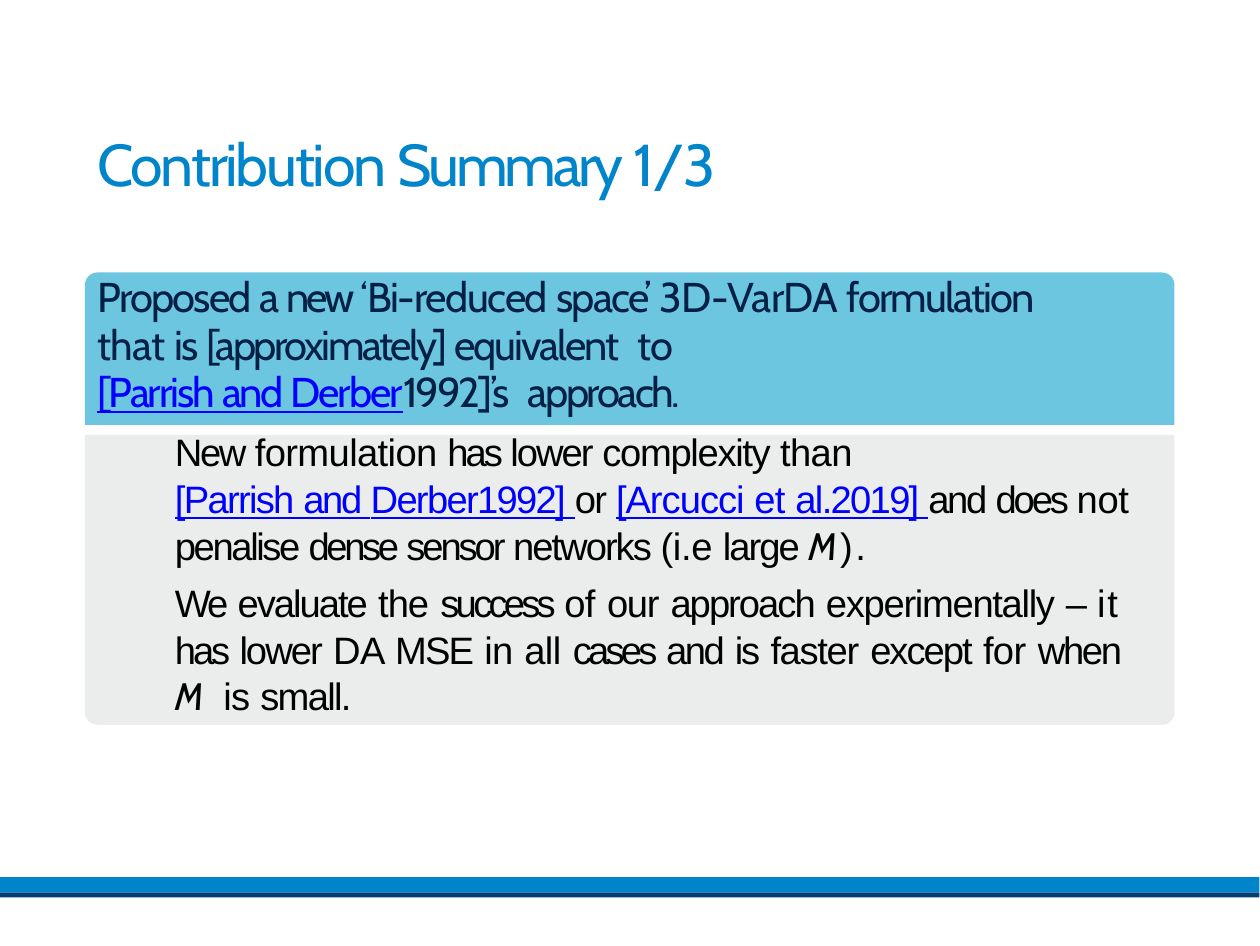
"""Builds the contribution summary slide."""
from pptx import Presentation
from pptx.dml.color import RGBColor
from pptx.enum import shapes, text
from pptx.util import Inches, Pt

COLORS = {"title": "0085CA", "heading": "002046", "body": "000000",
          "citation": "0000FF", "heading_panel": "6DC6E0",
          "body_panel": "EBEDED", "bar": "0085CA", "bar_edge": "003E73"}

STYLES = {"title": ("Cabin", 17, "title"),
          "heading": ("Cabin", 12, "heading"),
          "heading_cite": ("Cabin", 12, "citation"),
          "body": ("Arial", 11, "body"),
          "body_cite": ("Arial", 11, "citation"),
          "symbol": ("Cabin", 11, "body")}

TITLE = [("title", [("Contribution ", -0.65), ("Summary ", -0.95), ("1/3", -0.3)])]

PROPOSAL = [("heading", [
    ("Proposed ", -0.5), ("a ", -0.8), ("new ", -0.9), ("‘Bi-reduced ", -0.4),
    ("space’ ", -0.5), ("3D-VarDA ", -0.2), ("formulation ", -0.5),
    ("that ", -0.2), ("is ", -0.5), ("[approximately] ", -0.7),
    ("equivalent", -0.6), (" ", 2.6), ("to", -0.2)])]

PRIOR_WORK = [
    ("heading_cite", [("[Parrish ", -0.6), ("and ", -0.7), ("Derber", -0.6)]),
    ("heading", [("1992]’s", -0.6), (" ", 2.6), ("approach.", -0.7)])]

COMPLEXITY = [("body", [
    ("New ", -0.7), ("formulation ", -0.2), ("has ", -0.9), ("lower ", -0.6),
    ("complexity ", -0.4), ("than", -0.2)])]

COMPARISON = [
    ("body_cite", [("[Parrish ", -0.5), ("and ", -0.7), ("Derber1992] ", -0.5)]),
    ("body", [("or ", -0.5)]),
    ("body_cite", [("[Arcucci ", -0.3), ("et ", -0.2), ("al.2019] ", -0.5)]),
    ("body", [("and ", -0.7), ("does ", -0.9), ("not ", -0.1),
              ("penalise ", -0.7), ("dense ", -1), ("sensor ", -0.9),
              ("networks ", -0.6), ("(i.e ", -0.1), ("large ", -0.6)]),
    ("symbol", [("M", 0.8)]),
    ("body", [(").", 0.8)])]

EVALUATION = [
    ("body", [
        ("We ", -0.9), ("evaluate ", -0.6), ("the ", -0.3), ("success ", -1.1),
        ("of ", -0.2), ("our ", -0.4), ("approach ", -0.6),
        ("experimentally ", -0.4), ("– ", -0.7), ("it ", 0.5), ("has ", -0.9),
        ("lower ", -0.6), ("DA ", -0.2), ("MSE ", -0.6), ("in all ", -0.2),
        ("cases ", -1.1), ("and ", -0.7), ("is ", -0.6), ("faster ", -0.4),
        ("except ", -0.6), ("for ", -0.2), ("when ", -0.7)]),
    ("symbol", [("M ", 1.6)]),
    ("body", [("is ", -0.2), ("small.", -0.5)])]


def add_block(slide, kind, left, top, width, height, color):
    """Add a plain filled shape and return it."""
    block = slide.shapes.add_shape(kind, Inches(left), Inches(top),
                                   Inches(width), Inches(height))
    block.shadow.inherit = False
    block.fill.solid()
    block.fill.fore_color.rgb = RGBColor.from_string(COLORS[color])
    block.line.fill.background()
    return block


def add_panel(slide, top, height, color, top_radius, bottom_radius):
    """Add a panel rounded at its top or bottom corners."""
    panel = add_block(slide, shapes.MSO_SHAPE.ROUND_2_SAME_RECTANGLE,
                      0.34, top, 4.36, height, color)
    panel.adjustments[0] = top_radius / height
    panel.adjustments[1] = bottom_radius / height


def add_text(slide, left, top, width, height, inset, paragraphs):
    """Add a wrapping text box holding the given paragraphs."""
    box = slide.shapes.add_textbox(Inches(left), Inches(top),
                                   Inches(width), Inches(height))
    frame = box.text_frame
    frame.word_wrap = True
    frame.vertical_anchor = text.MSO_ANCHOR.TOP
    frame.margin_left = frame.margin_right = frame.margin_bottom = 0
    frame.margin_top = Inches(inset)
    for index, (phrases, align, indent, right, leading, before) in enumerate(paragraphs):
        paragraph = frame.add_paragraph() if index else frame.paragraphs[0]
        margins = paragraph._p.get_or_add_pPr()
        margins.set("marL", str(Inches(indent)))
        margins.set("marR", str(Inches(right)))
        paragraph.alignment = align
        paragraph.line_spacing = leading
        paragraph.space_before = Pt(before)
        for style, words in phrases:
            for word, spacing in words:
                add_run(paragraph, word, spacing, style)


def add_run(paragraph, word, spacing, style):
    """Add one run with its style and letter spacing in points."""
    run = paragraph.add_run()
    run.text = word
    font = run.font
    font.name, size, color = STYLES[style]
    font.size = Pt(size)
    font.color.rgb = RGBColor.from_string(COLORS[color])
    font.underline = color == "citation"
    font.italic = style == "symbol"
    run._r.get_or_add_rPr().set("spc", str(round(spacing * 100)))


def main():
    """Build and save the slide."""
    deck = Presentation()
    deck.slide_width = Pt(363)
    deck.slide_height = Pt(272.5)
    slide = deck.slides.add_slide(deck.slide_layouts[6])
    left, justify = text.PP_ALIGN.LEFT, text.PP_ALIGN.JUSTIFY
    add_text(slide, 0.38, 0.49, 2.57, 0.32, 0.02,
             [(TITLE, left, 0.01, 0, 1.0, 0)])
    add_panel(slide, 1.09, 0.61, "heading_panel", 0.05, 0)
    add_panel(slide, 1.74, 1.16, "body_panel", 0, 0.05)
    add_text(slide, 0.38, 1.07, 4.25, 1.83, 0.02, [
        (PROPOSAL, left, 0.01, 0.4, Pt(13.9), 0),
        (PRIOR_WORK, left, 0.01, 0, Pt(13.6), 0),
        (COMPLEXITY, left, 0.32, 0, 1.0, 3.6),
        (COMPARISON, left, 0.32, 0, 1.02, 0),
        (EVALUATION, justify, 0.32, 0.15, 1.02, 3)])
    rectangle = shapes.MSO_SHAPE.RECTANGLE
    add_block(slide, rectangle, 0, 3.51, 5.04, 0.06, "bar")
    add_block(slide, rectangle, 0, 3.57, 5.04, 0.02, "bar_edge")
    deck.save("out.pptx")


if __name__ == "__main__":
    main()
